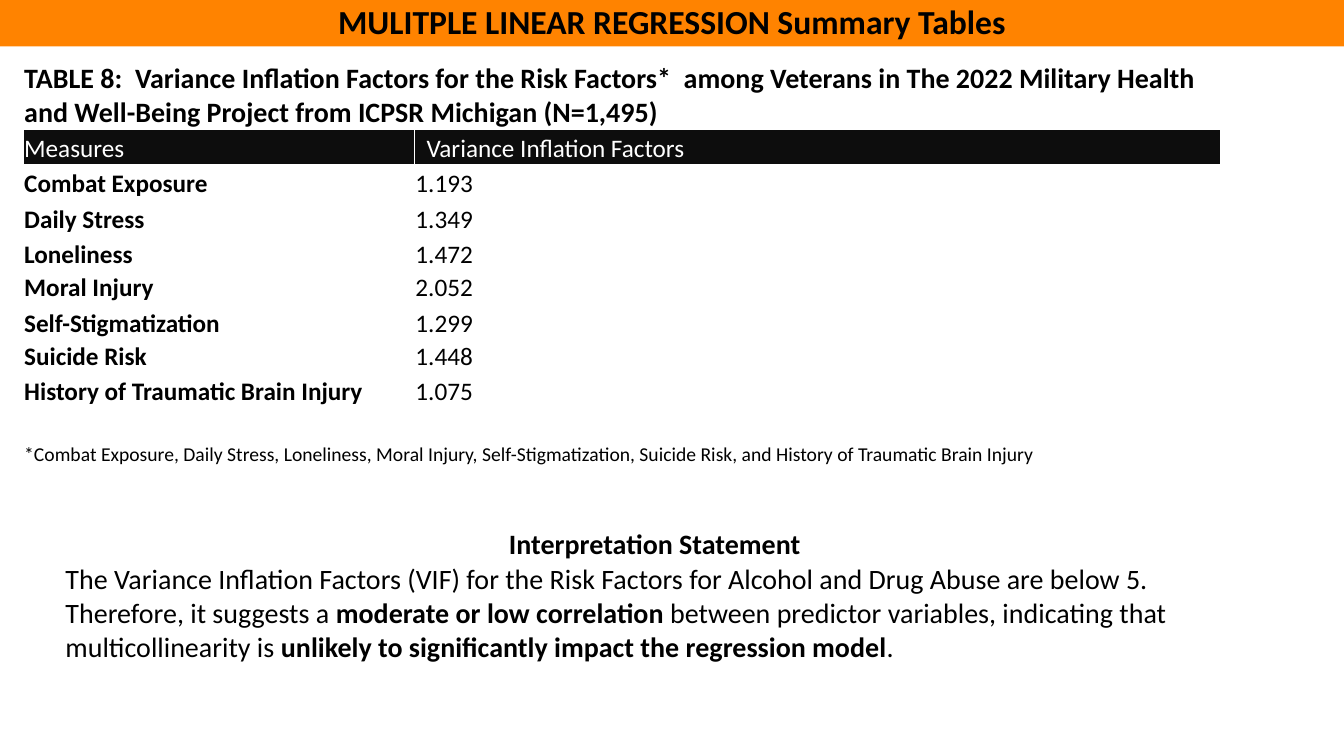
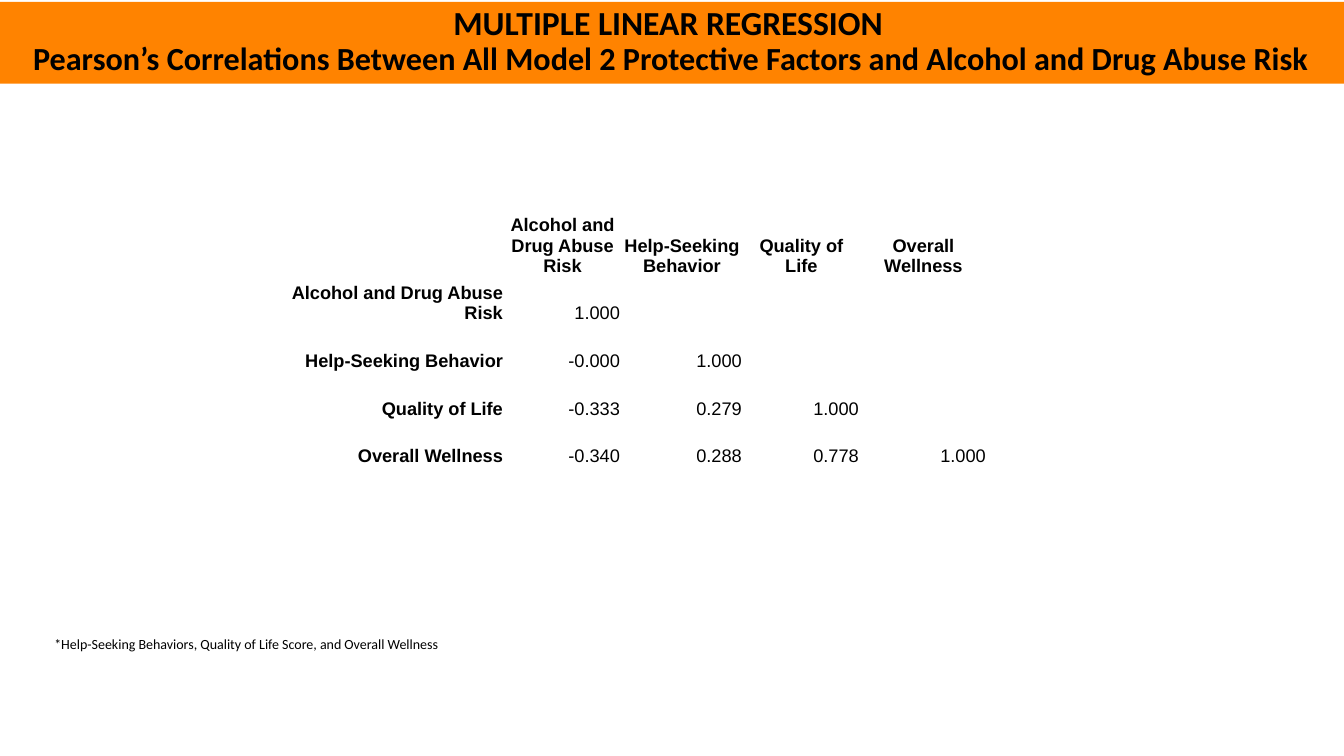
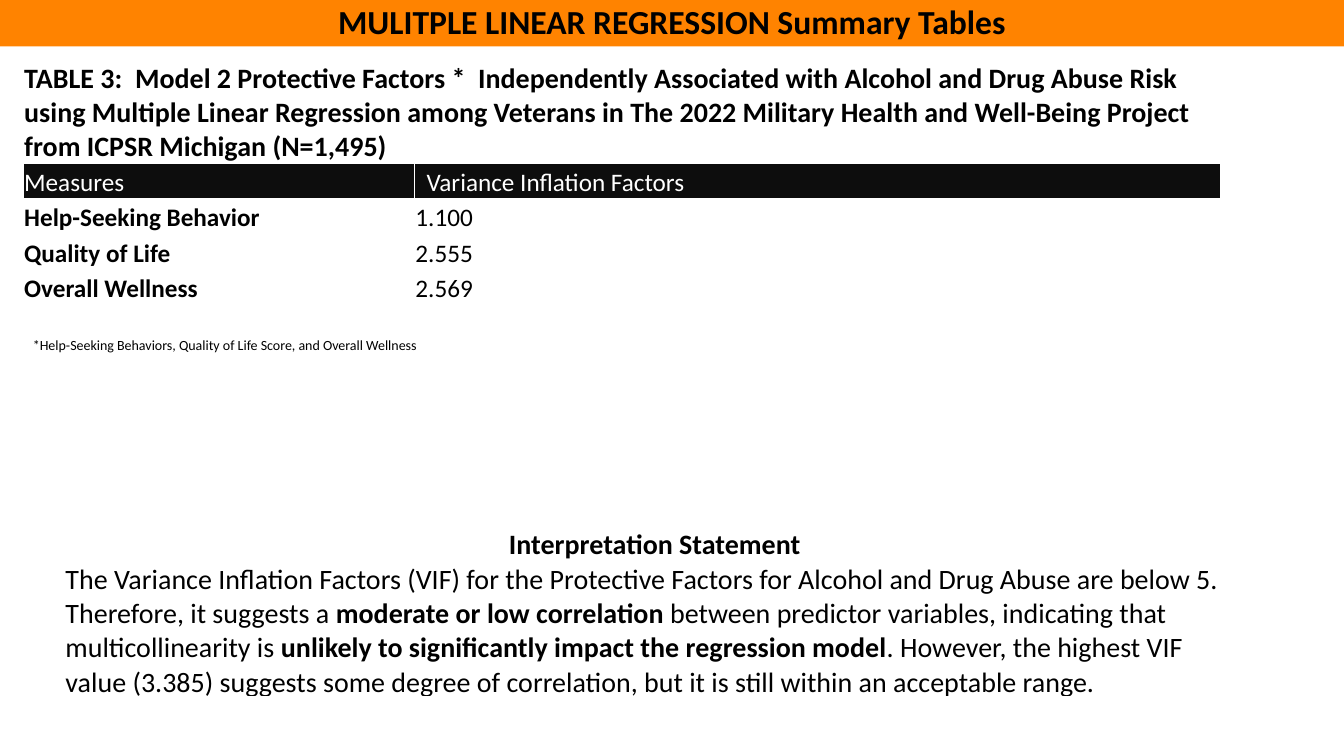
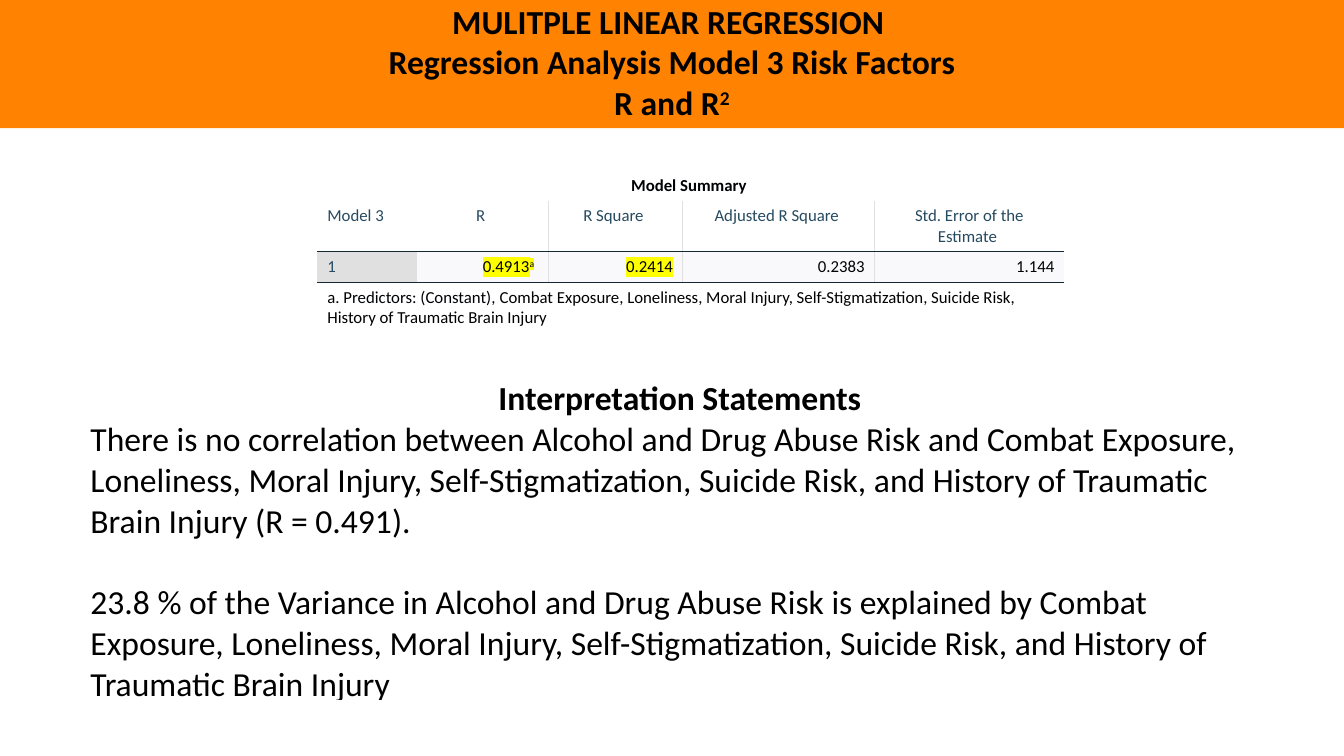
from dataclasses import dataclass
from typing import Optional, Sequence

from lxml.etree import SubElement
from pptx import Presentation
from pptx.dml.color import RGBColor
from pptx.enum.shapes import MSO_SHAPE as Shape
from pptx.enum.text import MSO_ANCHOR as Anchor, MSO_AUTO_SIZE as AutoSize, PP_ALIGN as Align
from pptx.oxml.ns import qn
from pptx.util import Cm, Pt

# Colours, fonts and margins
ORANGE = RGBColor(0xFF, 0x83, 0x00)
WHITE = RGBColor(0xFF, 0xFF, 0xFF)
BLACK = RGBColor(0x00, 0x00, 0x00)
HEADER_BLACK = RGBColor(0x0D, 0x0D, 0x0D)
INK = RGBColor(0x01, 0x02, 0x05)
BLUE = RGBColor(0x26, 0x4A, 0x60)
RULE_DARK = RGBColor(0x15, 0x29, 0x35)
GREY = RGBColor(0xE0, 0xE0, 0xE0)
PALE = RGBColor(0xF9, 0xF9, 0xFB)
YELLOW = RGBColor(0xFF, 0xFF, 0x00)

SLIDE_WIDTH, SLIDE_HEIGHT = 33.87, 19.05
BODY_FONT, MATRIX_FONT = "Calibri", "Arial"
TIGHT = (0.03, 0.03, 0.03, 0)
STATEMENT_MARGINS = (0.3, 0, 0.3, 0)
DEFAULT_MARGINS = (0.25, 0.13, 0.25, 0.13)
SIDES = ("L", "R", "T", "B")
PROTECTIVE_NOTE = "*Help-Seeking Behaviors, Quality of Life Score, and Overall Wellness"


@dataclass(frozen=True)
class Span:
    text: str
    size: float
    bold: bool = False
    color: RGBColor = BLACK
    name: str = BODY_FONT
    highlight: Optional[RGBColor] = None
    superscript: bool = False


@dataclass(frozen=True)
class Para:
    spans: Sequence[Span]
    alignment: Align = Align.LEFT
    line_spacing: Optional[float] = None
    space_before: Optional[Pt] = None


@dataclass(frozen=True)
class Edge:
    color: RGBColor
    width: float


@dataclass(frozen=True)
class CellStyle:
    fill: Optional[RGBColor] = WHITE
    margins: tuple = TIGHT
    anchor: Anchor = Anchor.BOTTOM


@dataclass(frozen=True)
class Measure:
    name: str
    factor: str
    height: float = 0.89


WHITE_EDGES = dict.fromkeys(SIDES, Edge(WHITE, 1))
DARK_EDGE, GREY_EDGE = Edge(RULE_DARK, 0.75), Edge(GREY, 0.75)
STATEMENT_STYLE = CellStyle(margins=STATEMENT_MARGINS, anchor=Anchor.TOP)


# Text
def set_all(target, values: dict) -> None:
    for key, value in values.items():
        setattr(target, key, value)


def line(text: str, size: float, alignment: Align = Align.LEFT, **look) -> Para:
    return Para([Span(text, size, **look)], alignment)


def write(frame, paras: Sequence[Para]) -> None:
    for index, item in enumerate(paras):
        para = frame.paragraphs[0] if index == 0 else frame.add_paragraph()
        set_all(para, {"alignment": item.alignment, "line_spacing": item.line_spacing,
                       "space_before": item.space_before})
        for span in item.spans:
            run = para.add_run()
            run.text = span.text
            set_all(run.font, {"size": Pt(span.size), "bold": span.bold, "name": span.name})
            run.font.color.rgb = span.color
            properties = run.font._element
            if span.superscript:
                properties.set("baseline", "30000")
            if span.highlight is not None:
                mark = SubElement(properties, qn("a:highlight"))
                SubElement(mark, qn("a:srgbClr"), val=str(span.highlight))
                properties.find(qn("a:solidFill")).addnext(mark)


# Shared parts
def add_band(page, top: float, height: float, paras: Sequence[Para]) -> None:
    band = page.shapes.add_shape(Shape.RECTANGLE, 0, Cm(top), Cm(SLIDE_WIDTH), Cm(height))
    band.shadow.inherit = False
    band.fill.solid()
    band.fill.fore_color.rgb = ORANGE
    band.line.fill.background()
    set_all(band.text_frame, {"word_wrap": True, "vertical_anchor": Anchor.TOP,
                              "auto_size": AutoSize.SHAPE_TO_FIT_TEXT})
    write(band.text_frame, paras)


def add_note(page, left: float, top: float) -> None:
    box = page.shapes.add_textbox(Cm(left), Cm(top), Cm(10.26), Cm(1.45))
    box.text_frame.word_wrap = False
    write(box.text_frame, [line(PROTECTIVE_NOTE, 10)])


def add_grid(page, left: float, top: float, widths: Sequence[float], heights: Sequence[float]):
    table = page.shapes.add_table(len(heights), len(widths), Cm(left), Cm(top),
                                  Cm(sum(widths)), Cm(sum(heights))).table
    set_all(table, {"first_row": False, "horz_banding": False})
    for column, width in zip(table.columns, widths):
        column.width = Cm(width)
    for row, height in zip(table.rows, heights):
        row.height = Cm(height)
    return table


def fill_cell(cell, paras: Sequence[Para], style: CellStyle, edges: dict) -> None:
    properties = cell._tc.get_or_add_tcPr()
    for side in SIDES:
        edge = edges.get(side)
        border = SubElement(properties, qn(f"a:ln{side}"))
        if edge is None:
            SubElement(border, qn("a:noFill"))
        else:
            border.set("w", str(Pt(edge.width)))
            paint = SubElement(border, qn("a:solidFill"))
            SubElement(paint, qn("a:srgbClr"), val=str(edge.color))
    if style.fill is None:
        cell.fill.background()
    else:
        cell.fill.solid()
        cell.fill.fore_color.rgb = style.fill
    names = ("margin_left", "margin_top", "margin_right", "margin_bottom")
    set_all(cell, dict(zip(names, map(Cm, style.margins))))
    cell.vertical_anchor = style.anchor
    write(cell.text_frame, paras)


def add_statement(page, left: float, top: float, height: float, paras: Sequence[Para]) -> None:
    table = add_grid(page, left, top, [30.3], [height])
    fill_cell(table.cell(0, 0), paras, STATEMENT_STYLE, WHITE_EDGES)


# Variance inflation slides
def add_vif_page(page, caption: str, caption_height: float, measures: Sequence[Measure],
                 footnote: str, factors: str, ending: str, statement_height: float) -> None:
    add_band(page, -0.1, 1.27, [line("MULITPLE LINEAR REGRESSION Summary Tables", 24,
                                     Align.CENTER, bold=True)])
    heights = [caption_height, 0.89, *(item.height for item in measures), 1.5]
    table = add_grid(page, 0.58, 1.52, [9.86, 20.32], heights)
    last = len(heights) - 1
    plain = CellStyle()
    for row, text in ((0, line(caption, 20, bold=True)), (last, line(footnote, 14))):
        table.cell(row, 0).merge(table.cell(row, 1))
        fill_cell(table.cell(row, 0), [text] if text.spans[0].text else [], plain, WHITE_EDGES)
    for column, (heading, indent) in enumerate((("Measures", 0.03),
                                                ("Variance Inflation Factors", 0.31))):
        style = CellStyle(HEADER_BLACK, (indent, *TIGHT[1:]))
        fill_cell(table.cell(1, column), [line(heading, 18, color=WHITE)], style, WHITE_EDGES)
    for row, item in enumerate(measures, start=2):
        fill_cell(table.cell(row, 0), [line(item.name, 18, bold=True)], plain, WHITE_EDGES)
        fill_cell(table.cell(row, 1), [line(item.factor, 18)], plain, WHITE_EDGES)
    add_statement(page, 1.35, 13.31, statement_height, [
        line("Interpretation Statement", 20, Align.CENTER, bold=True),
        Para([
            Span(f"The Variance Inflation Factors (VIF) for the {factors} Factors for Alcohol "
                 "and Drug Abuse are below 5. Therefore, it suggests a ", 20),
            Span("moderate or low correlation ", 20, True),
            Span("between predictor variables, indicating that multicollinearity is ", 20),
            Span("unlikely to significantly impact the regression model", 20, True),
            Span(ending, 20),
        ]),
    ])


def add_risk_page(page) -> None:
    add_vif_page(
        page,
        "TABLE 8:  Variance Inflation Factors for the Risk Factors*  among Veterans in "
        "The 2022 Military Health and Well-Being Project from ICPSR Michigan (N=1,495)", 1.73,
        [Measure("Combat Exposure", "1.193"), Measure("Daily Stress", "1.349"),
         Measure("Loneliness", "1.472"), Measure("Moral Injury", "2.052", 0.84),
         Measure("Self-Stigmatization", "1.299"), Measure("Suicide Risk", "1.448", 0.84),
         Measure("History of Traumatic Brain Injury", "1.075")],
        "*Combat Exposure, Daily Stress, Loneliness, Moral Injury, Self-Stigmatization, "
        "Suicide Risk, and History of Traumatic Brain Injury",
        "Risk", ".", 3.4)


def add_protective_page(page) -> None:
    add_vif_page(
        page,
        "TABLE 3:  Model 2 Protective Factors *  Independently Associated with Alcohol and "
        "Drug Abuse Risk using Multiple Linear Regression among Veterans in The 2022 Military "
        "Health and Well-Being Project from ICPSR Michigan (N=1,495)", 2.59,
        [Measure("Help-Seeking Behavior", "1.100"), Measure("Quality of Life", "2.555"),
         Measure("Overall Wellness", "2.569")],
        "", "Protective",
        ". However, the highest VIF value (3.385) suggests some degree of correlation, "
        "but it is still within an acceptable range.", 4.24)
    add_note(page, 0.58, 8.36)


# Correlation matrix slide
def add_correlation_page(page) -> None:
    names = ("Alcohol and Drug Abuse Risk", "Help-Seeking Behavior", "Quality of Life",
             "Overall Wellness")
    values = (("1.000",), ("-0.000", "1.000"), ("-0.333", "0.279", "1.000"),
              ("-0.340", "0.288", "0.778", "1.000"))
    table = add_grid(page, 6.63, 5.21, [6.07, 2.95, 3.07, 2.95, 3.2], [1.75] + [1.2] * 4)
    clear = CellStyle(fill=None)
    for row in range(5):
        for column in range(5):
            text, alignment = "", Align.RIGHT
            if row == 0 and column:
                text, alignment = names[column - 1], Align.CENTER
            elif row and column == 0:
                text = names[row - 1]
            elif 0 < column <= row:
                text = values[row - 1][column - 1]
            heading = row == 0 or column == 0
            paras = [line(text, 13, alignment, bold=heading, name=MATRIX_FONT)] if text else []
            fill_cell(table.cell(row, column), paras, clear, {})
    titles = (("MULTIPLE LINEAR REGRESSION ", 24),
              ("Pearson’s Correlations Between All Model 2 Protective Factors and "
               "Alcohol and Drug Abuse Risk", 23))
    add_band(page, 0.05, 2.06, [Para([Span(text, size, True)], Align.CENTER, 0.9)
                                for text, size in titles])
    add_note(page, 1.12, 15.9)


# Model summary slide
def add_summary_table(page) -> None:
    table = add_grid(page, 8, 4.29, [2.51, 3.3, 3.4, 4.83, 4.78], [0.76, 1.27, 0.76, 1.27])
    white = CellStyle(WHITE, DEFAULT_MARGINS, Anchor.TOP)
    title = line("Model Summary ", 12, Align.CENTER, bold=True, color=INK)
    footnote = Para([
        Span("a. Predictors: (Constant), ", 12, color=INK),
        Span("Combat Exposure, Loneliness, Moral Injury, Self-Stigmatization, Suicide Risk, "
             "History of Traumatic Brain Injury", 12),
    ])
    for row, para, edges in ((0, title, {}), (3, footnote, {"T": DARK_EDGE})):
        table.cell(row, 0).merge(table.cell(row, 4))
        fill_cell(table.cell(row, 0), [para], white, edges)

    headings = ("Model 3", "R ", "R Square ", "Adjusted R Square ", "Std. Error of the Estimate ")
    results = (
        [Span("1", 12, color=BLUE)],
        [Span("0.4913", 12, color=INK, highlight=YELLOW),
         Span("a", 12, color=INK, highlight=YELLOW, superscript=True),
         Span(" ", 12, color=INK)],
        [Span("0.2414", 12, color=INK, highlight=YELLOW)],
        [Span("0.2383", 12, color=INK)],
        [Span("1.144", 12, color=INK)],
    )
    for column, (heading, spans) in enumerate(zip(headings, results)):
        edges = {"B": DARK_EDGE}
        if column > 1:
            edges["L"] = GREY_EDGE
        if 0 < column < 4:
            edges["R"] = GREY_EDGE
        first = column == 0
        fill_cell(table.cell(1, column),
                  [line(heading, 12, Align.LEFT if first else Align.CENTER, color=BLUE)],
                  white, edges)
        style = CellStyle(GREY if first else PALE, DEFAULT_MARGINS, Anchor.TOP)
        fill_cell(table.cell(2, column), [Para(spans, Align.LEFT if first else Align.RIGHT)],
                  style, {**edges, "T": DARK_EDGE})


def add_model_page(page) -> None:
    add_band(page, -0.1, 3.33, [
        line("MULITPLE LINEAR REGRESSION ", 24, Align.CENTER, bold=True),
        line("Regression Analysis Model 3 Risk Factors", 24, Align.CENTER, bold=True),
        Para([Span("R and R", 24, True), Span("2", 24, True, superscript=True)], Align.CENTER),
    ])
    predictors = ("Combat Exposure, Loneliness, Moral Injury, Self-Stigmatization, "
                  "Suicide Risk, and History of Traumatic Brain Injury")
    add_statement(page, 1.98, 9.53, 8.13, [
        line("Interpretation Statements", 24, Align.CENTER, bold=True),
        line("There is no correlation between Alcohol and Drug Abuse Risk and "
             f"{predictors} (R = 0.491).", 24),
        Para([Span("23.8 % of the Variance in Alcohol and Drug Abuse Risk is explained by "
                   f"{predictors}", 24)], space_before=Pt(29)),
    ])
    add_summary_table(page)


def main() -> None:
    deck = Presentation()
    set_all(deck, {"slide_width": Cm(SLIDE_WIDTH), "slide_height": Cm(SLIDE_HEIGHT)})
    blank = deck.slide_layouts[6]
    for build in (add_risk_page, add_correlation_page, add_protective_page, add_model_page):
        build(deck.slides.add_slide(blank))
    deck.save("out.pptx")


if __name__ == "__main__":
    main()
